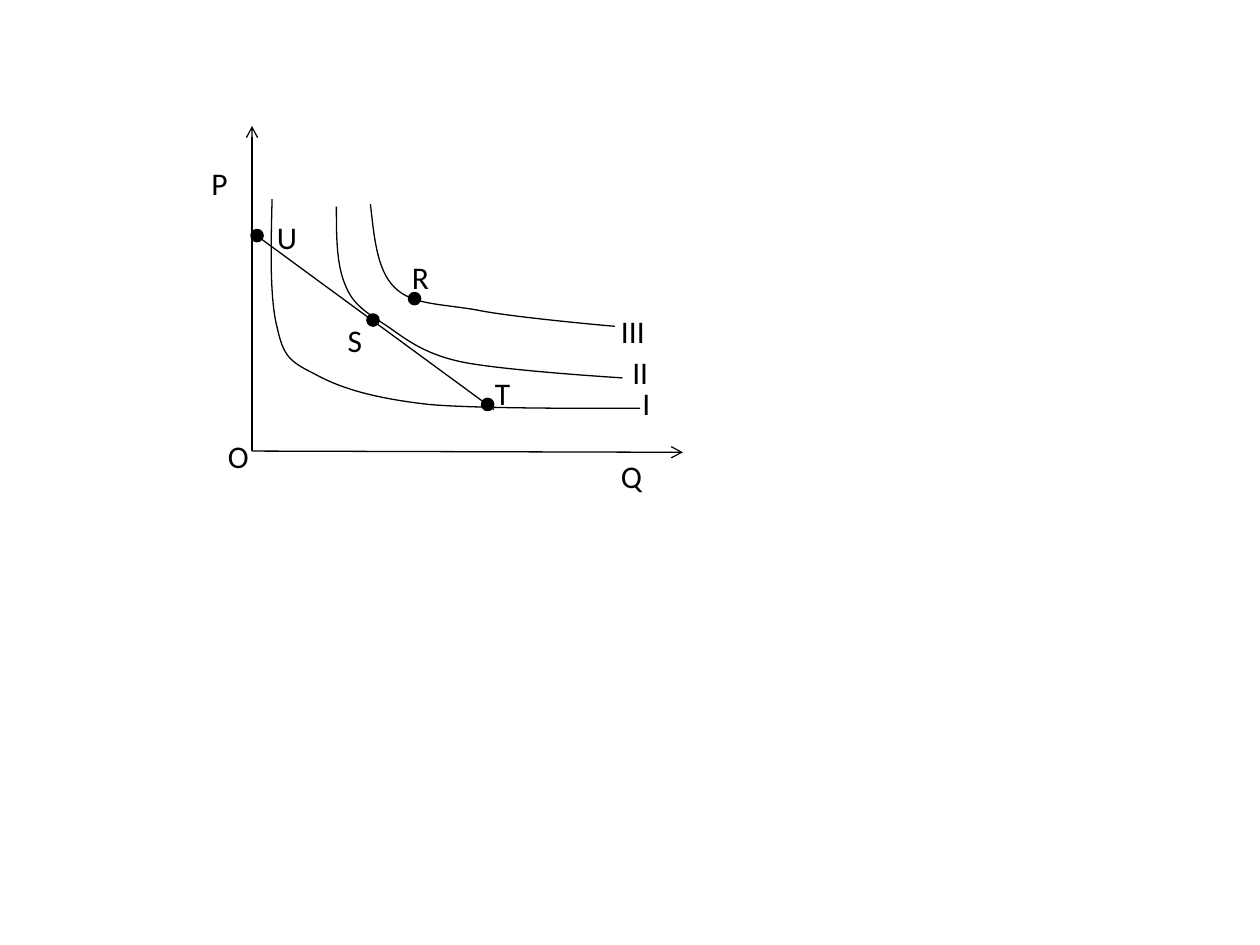
from lxml import etree
from pptx import Presentation
from pptx.dml.color import RGBColor
from pptx.enum import shapes, text
from pptx.oxml import ns
from pptx.util import Inches, Pt

BLACK = "000000"
ORIGIN = (2, 3.58)
AXIS_ENDS = [(2, 1), (5.42, 3.59)]
BUDGET_LINE = [(2.01, 1.85), (3.92, 3.25)]

# Each curve: a start point, then Bezier segments of control, control, end.
CURVE_I = [(2.16, 1.58),
           (2.15, 1.97), (2.14, 2.37), (2.2, 2.6),
           (2.25, 2.83), (2.3, 2.87), (2.5, 2.97),
           (2.7, 3.08), (2.96, 3.16), (3.4, 3.21),
           (3.83, 3.25), (5.08, 3.24), (5.08, 3.24)]
CURVE_II = [(2.67, 1.64),
            (2.67, 1.87), (2.67, 2.1), (2.74, 2.26),
            (2.8, 2.42), (2.91, 2.48), (3.06, 2.58),
            (3.21, 2.68), (3.34, 2.8), (3.65, 2.87),
            (3.97, 2.94), (4.94, 3), (4.94, 3)]
CURVE_III = [(2.94, 1.62),
             (2.97, 1.88), (2.99, 2.14), (3.13, 2.28),
             (3.27, 2.42), (3.49, 2.41), (3.78, 2.46),
             (4.07, 2.52), (4.88, 2.59), (4.88, 2.59)]

DOT_SIZE = 0.08
DOT_R, DOT_S, DOT_T, DOT_U = (3.25, 2.33), (2.92, 2.5), (3.83, 3.17), (2, 1.83)
LABELS = [  # text, left, top, width
    ("III", 4.83, 2.43, 0.39), ("II", 4.92, 2.75, 0.33), ("I", 5, 3, 0.27),
    ("R", 3.17, 2, 0.34), ("S", 2.66, 2.5, 0.32), ("T", 3.83, 2.92, 0.32),
    ("U", 2.1, 1.68, 0.36), ("P", 1.58, 1.25, 0.33), ("Q", 4.83, 3.58, 0.37),
    ("O", 1.71, 3.42, 0.37),
]
LABEL_HEIGHT = 0.4


def rgb(value):
    return RGBColor.from_string(value)


def set_line(sp, width=0.75):
    sp.line.color.rgb = rgb(BLACK)
    sp.line.width = Pt(width)


def add_line(s, start, end, arrow=False):
    sp = s.shapes.add_connector(shapes.MSO_CONNECTOR.STRAIGHT,
                                *map(Inches, start + end))
    set_line(sp)
    if arrow:
        etree.SubElement(sp.line._get_or_add_ln(), ns.qn("a:tailEnd"), type="arrow")
    etree.SubElement(sp._element.spPr, ns.qn("a:effectLst"))


def add_curve(s, points):
    """Draw the points as line segments, then join each three into a Bezier."""
    emu = [(Inches(x), Inches(y)) for x, y in points]
    builder = s.shapes.build_freeform(*emu[0])
    builder.add_line_segments(emu[1:], close=False)
    sp = builder.convert_to_shape()
    outline = next(sp._element.iter(ns.qn("a:path")))
    steps = outline.findall(ns.qn("a:lnTo"))
    for i in range(0, len(steps), 3):
        bezier = etree.SubElement(outline, ns.qn("a:cubicBezTo"))
        for step in steps[i:i + 3]:
            bezier.append(step[0])
            outline.remove(step)
    sp.fill.background()
    sp.shadow.inherit = False
    set_line(sp)


def add_dot(s, left, top):
    sp = s.shapes.add_shape(shapes.MSO_SHAPE.OVAL, Inches(left), Inches(top),
                            Inches(DOT_SIZE), Inches(DOT_SIZE))
    sp.shadow.inherit = False
    sp.fill.solid()
    sp.fill.fore_color.rgb = rgb(BLACK)
    set_line(sp, 2)


def add_text(s, label, left, top, width, size=18, font="Calibri", color=BLACK):
    sp = s.shapes.add_textbox(Inches(left), Inches(top), Inches(width),
                              Inches(LABEL_HEIGHT))
    tf = sp.text_frame
    tf.word_wrap = False
    tf.auto_size = text.MSO_AUTO_SIZE.SHAPE_TO_FIT_TEXT
    r = tf.paragraphs[0].add_run()
    r.text = label
    r.font.size = Pt(size)
    r.font.name = font
    r.font.color.rgb = rgb(color)


def main():
    prs = Presentation()
    prs.slide_width, prs.slide_height = Inches(10), Inches(7.5)
    s = prs.slides.add_slide(prs.slide_layouts[6])
    for end in AXIS_ENDS:
        add_line(s, ORIGIN, end, arrow=True)
    add_curve(s, CURVE_I)
    add_line(s, *BUDGET_LINE)
    add_curve(s, CURVE_II)
    add_dot(s, *DOT_R)
    add_curve(s, CURVE_III)
    for dot in (DOT_S, DOT_T, DOT_U):
        add_dot(s, *dot)
    for label in LABELS:
        add_text(s, *label)
    prs.save("out.pptx")


if __name__ == "__main__":
    main()
